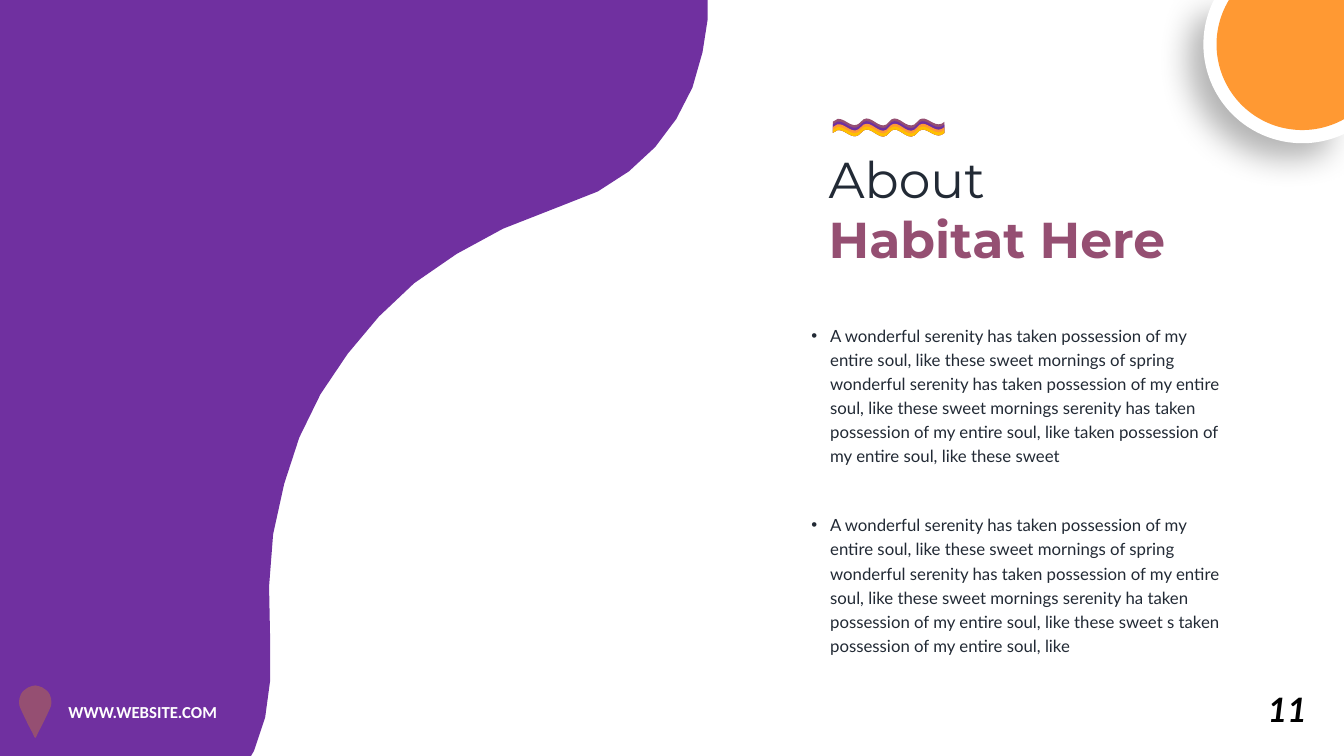
from dataclasses import dataclass
from math import asin, acos, cos, pi, sin

from lxml.etree import SubElement
from pptx import Presentation
from pptx.dml.color import RGBColor
from pptx.enum.text import MSO_AUTO_SIZE as AutoSize
from pptx.oxml.ns import qn
from pptx.util import Pt


@dataclass(frozen=True)
class Theme:
    purple: str = "7030A0"
    plum: str = "954F72"
    orange: str = "FF9933"
    gold: str = "FFC000"
    ink: str = "222A35"
    white: str = "FFFFFF"
    black: str = "000000"
    heading: str = "Montserrat"
    body: str = "Lato"
    footer: str = "Calibri"
    title_size: int = 36
    number_size: int = 24
    text_size: int = 12


theme = Theme()
WIDTH, HEIGHT = 960, 540

TITLE_FONT = dict(name=theme.heading, size=theme.title_size)
BODY_FONT = dict(name=theme.body, size=theme.text_size, color=theme.ink)

# (left, top, width, height), wrap, bulleted, [(text, font values)]
TEXTS = [
    ((898.6, 488.9, 42.5, 36), False, False, [
        ("11", dict(name=theme.body, size=theme.number_size,
                    color=theme.black, bold=True, italic=True))]),
    ((41.8, 497.5, 182, 21.8), True, False, [
        ("WWW.WEBSITE.COM", dict(name=theme.footer, size=theme.text_size,
                                 color=theme.white, bold=True))]),
    ((584.8, 102.2, 271.4, 94.5), True, False, [
        ("About", dict(TITLE_FONT, color=theme.ink)),
        ("Habitat Here", dict(TITLE_FONT, color=theme.plum, bold=True))]),
    ((572.4, 226, 311, 110.2), True, True, [
        ("A wonderful serenity has taken possession of my entire soul, like "
         "these sweet mornings of spring wonderful serenity has taken "
         "possession of my entire soul, like these sweet mornings serenity has "
         "taken possession of my entire soul, like taken possession of my "
         "entire soul, like these sweet", BODY_FONT)]),
    ((572.4, 361.5, 311, 110.2), True, True, [
        ("A wonderful serenity has taken possession of my entire soul, like "
         "these sweet mornings of spring wonderful serenity has taken "
         "possession of my entire soul, like these sweet mornings serenity ha "
         "taken possession of my entire soul, like these sweet s taken "
         "possession of my entire soul, like", BODY_FONT)]),
]

PANEL_EDGE = [
    (505.4, 0), (505.4, 14.4), (501.8, 37.4), (494.6, 62.6), (483.1, 85),
    (468, 105.1), (449.3, 122.4), (427, 136.8), (399.6, 147.6), (359.3, 163.4),
    (326.2, 181.4), (295.9, 202.3), (270.7, 226.1), (248.4, 252.7),
    (229, 281.5), (213.8, 312.5), (203, 345.6), (195.1, 381.6), (192.2, 419),
    (193, 458.6), (193, 486), (189.4, 512.6), (181.4, 536.4), (179.3, 540),
]

PIN_CENTER = 25.2
PIN_HALF = [  # distance from the pin's axis, y
    (0, 489.6), (2.2, 490), (5, 491), (7.2, 492.5), (9, 494), (10.3, 496),
    (11.3, 499), (11.6, 502), (11.2, 504.5), (10.1, 507), (8, 511.5),
    (5, 517.7), (2, 523.4), (0.7, 526.3), (0, 527),
]

DISC_CENTER = (930.2, 31.7)
DISCS = [(70.6, theme.white), (61.2, theme.orange)]
DISC_SHADOW = dict(blurRad=Pt(23), dist=Pt(15), dir=135 * 60000,
                   algn="ctr", rotWithShape=0)
SHADOW_ALPHA = 29000

WAVE_START, WAVE_THICKNESS, WAVE_STEP = (598.3, 85), 7.9, 1.9
WAVE_CURVES = [  # Bezier control points of the top edge
    ((604.1, 84.2), (609.1, 93.6), (614.9, 87.1)),
    ((621.4, 78.5), (628.6, 95.8), (635, 87.1)),
    ((641.5, 78.5), (648, 95.8), (655.2, 87.1)),
    ((661, 79.2), (667.4, 93.6), (674.6, 87.1)),
]
WAVE_COLORS = [theme.plum, theme.purple, theme.orange, theme.gold]


def wave_edge(steps=10):
    """Points along the top edge of the wave, from left to right."""
    points = [(594.9, 87), WAVE_START]
    for first, second, end in WAVE_CURVES:
        start = points[-1]
        for t in (step / steps for step in range(1, steps + 1)):
            weights = ((1 - t) ** 3, 3 * t * (1 - t) ** 2,
                       3 * t ** 2 * (1 - t), t ** 3)
            controls = (start, first, second, end)
            points.append(tuple(
                sum(w * point[axis] for w, point in zip(weights, controls))
                for axis in (0, 1)))
    return points


def clipped_disc(radius, steps=60):
    """Outline of a disc cut off by the slide's top and right edges."""
    x, y = DISC_CENTER
    first = acos((WIDTH - x) / radius)
    last = pi + asin(y / radius)
    angles = (first + (last - first) * i / steps for i in range(steps + 1))
    arc = [(x + radius * cos(a), y + radius * sin(a)) for a in angles]
    return arc + [(WIDTH, 0)]


def add_outline(shapes, points, color):
    (x, y), *rest = [(Pt(px), Pt(py)) for px, py in points]
    builder = shapes.build_freeform(x, y)
    builder.add_line_segments(rest, close=True)
    shape = builder.convert_to_shape()
    shape.shadow.inherit = False
    shape.fill.solid()
    shape.fill.fore_color.rgb = RGBColor.from_string(color)
    shape.line.fill.background()
    return shape


def add_shadow(shape):
    effects = shape._element.spPr.find(qn("a:effectLst"))
    shadow = SubElement(effects, qn("a:outerShdw"),
                        {key: str(value) for key, value in DISC_SHADOW.items()})
    color = SubElement(shadow, qn("a:srgbClr"), val=theme.black)
    SubElement(color, qn("a:alpha"), val=str(SHADOW_ALPHA))


def add_bullet(paragraph):
    properties = paragraph._p.get_or_add_pPr()
    properties.set("marL", str(Pt(13.5)))
    properties.set("indent", str(-Pt(13.5)))
    SubElement(properties, qn("a:buFont"), typeface="Arial")
    SubElement(properties, qn("a:buChar"), char="•")
    paragraph.line_spacing = 1.2


def add_text(shapes, box, wrap, bulleted, lines):
    frame = shapes.add_textbox(*map(Pt, box)).text_frame
    frame.word_wrap = wrap
    frame.auto_size = AutoSize.SHAPE_TO_FIT_TEXT
    for index, (text, values) in enumerate(lines):
        paragraph = frame.add_paragraph() if index else frame.paragraphs[0]
        if bulleted:
            add_bullet(paragraph)
        run = paragraph.add_run()
        run.text = text
        run.font.color.rgb = RGBColor.from_string(values["color"])
        for name, value in values.items():
            if name != "color":
                setattr(run.font, name, Pt(value) if name == "size" else value)


def main():
    presentation = Presentation()
    presentation.slide_width, presentation.slide_height = Pt(WIDTH), Pt(HEIGHT)
    slide = presentation.slides.add_slide(presentation.slide_layouts[6])
    shapes = slide.shapes

    add_outline(shapes, [(0, 0)] + PANEL_EDGE + [(0, HEIGHT)], theme.purple)

    discs = shapes.add_group_shape().shapes
    rim, _ = [add_outline(discs, clipped_disc(radius), color)
              for radius, color in DISCS]
    add_shadow(rim)

    right = [(PIN_CENTER + dx, y) for dx, y in PIN_HALF]
    left = [(PIN_CENTER - dx, y) for dx, y in PIN_HALF[-2:0:-1]]
    add_outline(shapes, right + left, theme.plum)

    waves = shapes.add_group_shape().shapes
    edge = wave_edge()
    bottom = [(x, y + WAVE_THICKNESS) for x, y in reversed(edge)]
    for layer, color in enumerate(WAVE_COLORS):
        top = [(x, y + layer * WAVE_STEP) for x, y in edge]
        add_outline(waves, top + bottom, color)

    for text in TEXTS:
        add_text(shapes, *text)
    presentation.save("out.pptx")


if __name__ == "__main__":
    main()
